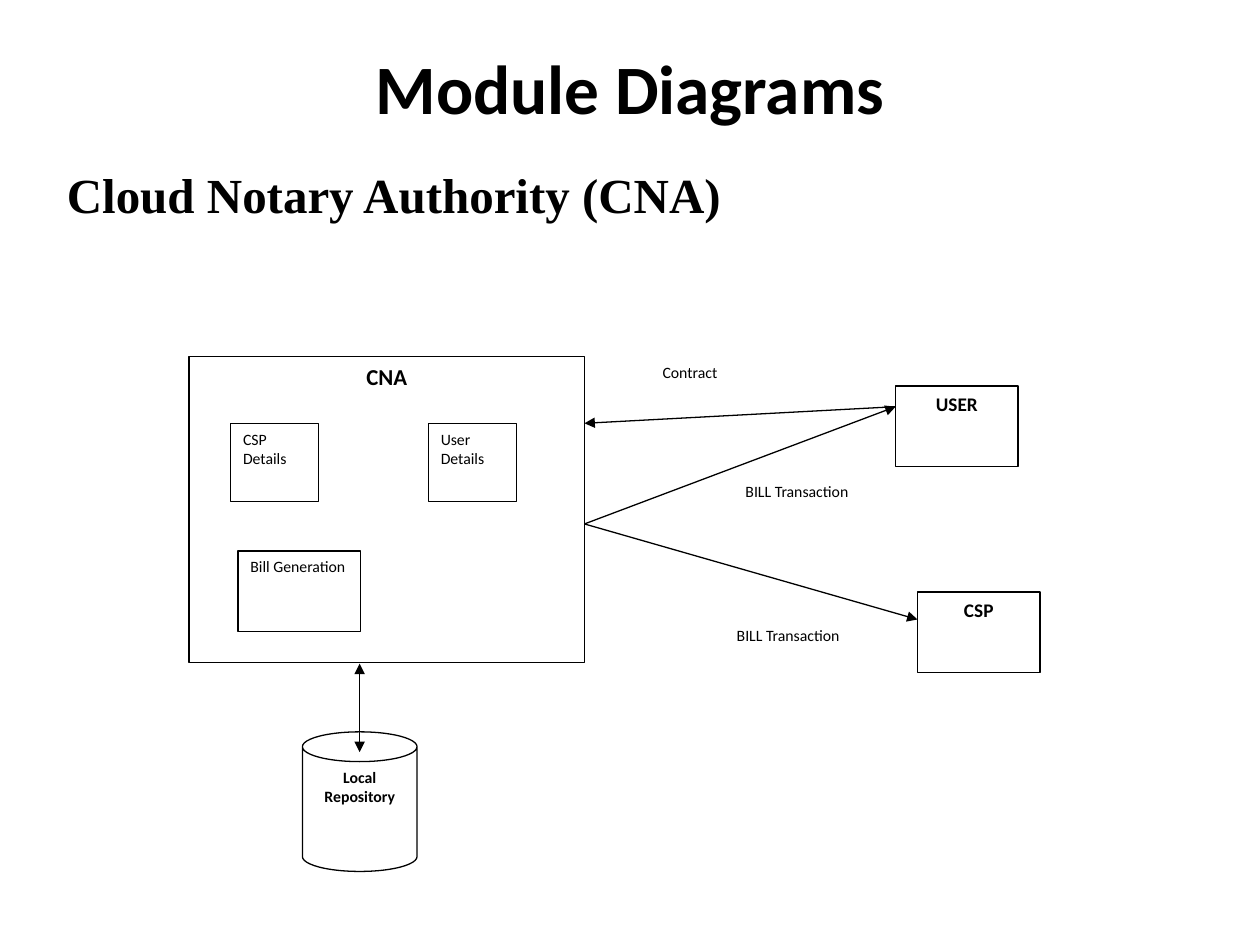
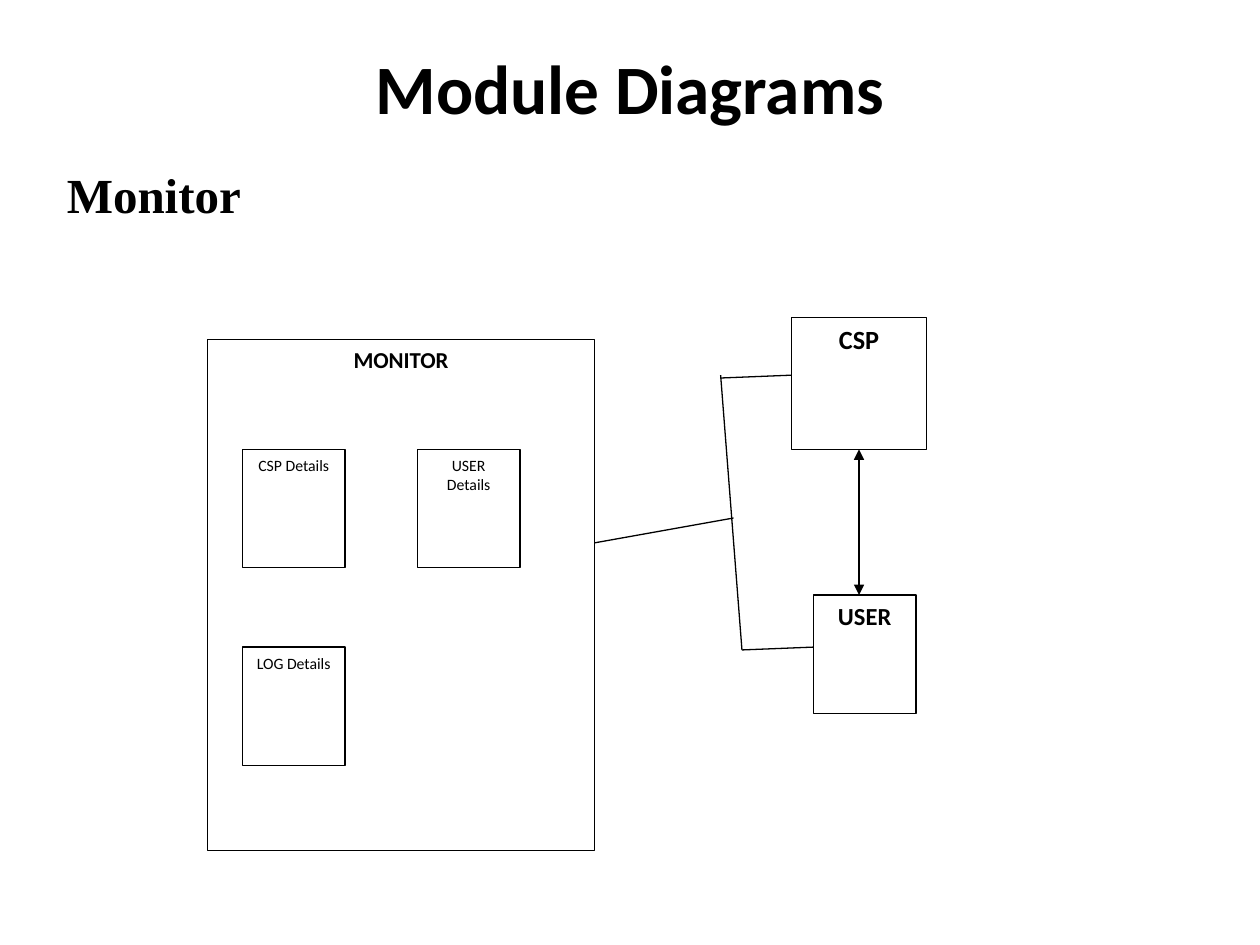
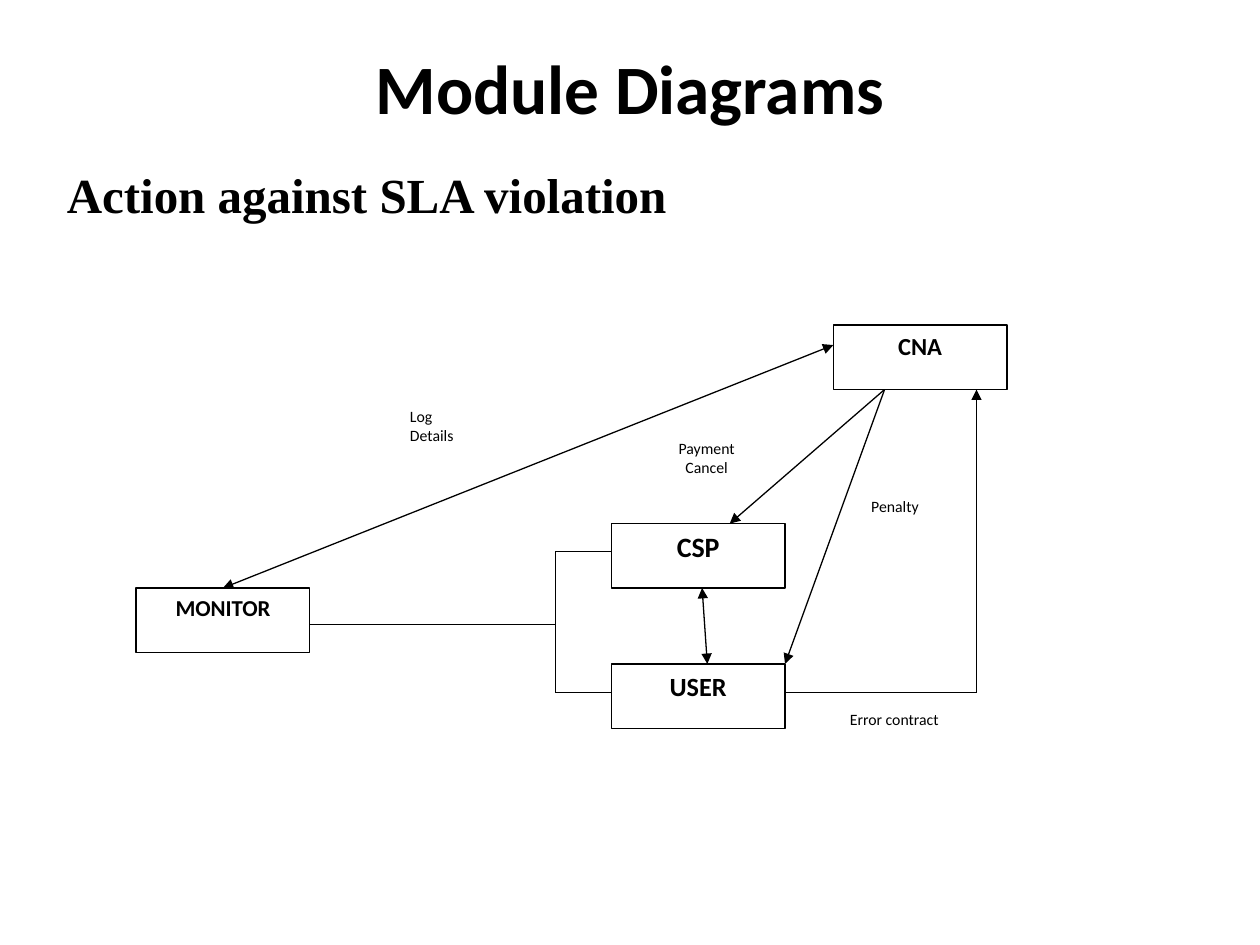
from lxml import etree
from pptx import Presentation
from pptx import util as u
from pptx.dml.color import RGBColor
from pptx.enum import shapes, text
from pptx.oxml import ns

BLACK = RGBColor(0, 0, 0)
WHITE = RGBColor(255, 255, 255)
BODY_FONT = "Calibri"
HEADING_FONT = "Times New Roman"
LEFT = text.PP_ALIGN.LEFT
CENTER = text.PP_ALIGN.CENTER
TOP = text.MSO_ANCHOR.TOP
MIDDLE = text.MSO_ANCHOR.MIDDLE
BOTTOM_SIDE = 2
TOP_SIDE = 0


def write(frame, words, size=9, bold=False, font=BODY_FONT, align=CENTER,
          anchor=TOP, after=10, margins=(7.2, 3.6, 7.2, 3.6)):
    frame.word_wrap = True
    frame.auto_size = text.MSO_AUTO_SIZE.NONE
    frame.vertical_anchor = anchor
    (frame.margin_left, frame.margin_top,
     frame.margin_right, frame.margin_bottom) = map(u.Pt, margins)
    para = frame.paragraphs[0]
    para.alignment = align
    para.space_after = u.Pt(after)
    span = para.add_run()
    span.text = words
    span.font.name = font
    span.font.size = u.Pt(size)
    span.font.bold = bold
    span.font.color.rgb = BLACK


class Diagram:
    line_width = u.Pt(0.75)

    def __init__(self, deck, heading):
        layout = deck.slide_layouts.get_by_name("Title Only")
        self.page = deck.slides.add_slide(layout)
        self.title("Module Diagrams")
        self.box(heading, 23.8, 95.8, 630, 29.5, line=None, size=28, bold=True,
                 font=HEADING_FONT, align=LEFT, anchor=MIDDLE, after=0,
                 margins=(14.4, 0, 0, 0))

    def title(self, words):
        title = self.page.shapes.title
        title.left, title.top = u.Pt(36), u.Pt(21.6)
        title.width, title.height = u.Pt(648), u.Pt(56.2)
        write(title.text_frame, words, size=39.6, bold=True, anchor=MIDDLE, after=0)

    def box(self, words, left, top, width, height, line=BLACK,
            kind=shapes.MSO_SHAPE.RECTANGLE, **style):
        box = self.page.shapes.add_shape(
            kind, u.Pt(left), u.Pt(top), u.Pt(width), u.Pt(height))
        box.shadow.inherit = False
        box.fill.solid()
        box.fill.fore_color.rgb = WHITE
        if line is None:
            box.line.fill.background()
        else:
            box.line.color.rgb = line
            box.line.width = self.line_width
        write(box.text_frame, words, **style)
        return box

    def label(self, words, left, top, width, height, **style):
        return self.box(words, left, top, width, height, line=WHITE, **style)

    def line(self, start, end, head=False, tail=False):
        line = self.page.shapes.add_connector(
            shapes.MSO_CONNECTOR.STRAIGHT, *map(u.Pt, start + end))
        line.line.color.rgb = BLACK
        line.line.width = self.line_width
        stroke = line.line._get_or_add_ln()
        for name, wanted in (("a:headEnd", head), ("a:tailEnd", tail)):
            if wanted:
                etree.SubElement(stroke, ns.qn(name), type="triangle")
        etree.SubElement(line._element.spPr, ns.qn("a:effectLst"))
        return line


def build_notary(deck):
    diagram = Diagram(deck, "Cloud Notary Authority (CNA)")
    diagram.box("CNA", 108, 203.8, 226, 175, size=13, bold=True)
    for words, left in (("CSP Details", 131.8), ("User Details", 244.8)):
        diagram.box(words, left, 242, 50.4, 44.6, align=LEFT)
    diagram.box("Bill Generation", 136, 314.8, 70, 46, align=LEFT)
    for words, left, top in (("USER", 511.8, 220.5), ("CSP", 524.3, 338.3)):
        diagram.box(words, left, top, 70, 46, size=11, bold=True)
    can = diagram.box("Local Repository", 172.8, 418.2, 65.5, 79.8,
                      kind=shapes.MSO_SHAPE.CAN, bold=True)
    can.adjustments[0] = 0.26

    user_end, bill_start = (511.8, 232.4), (334, 299.4)
    diagram.line(user_end, (334, 241.9), tail=True)
    diagram.label("Contract", 371.5, 203.8, 65.5, 28, align=LEFT)
    for end in (user_end, (524.3, 354)):
        diagram.line(bill_start, end, tail=True)
    for left, top in ((418.1, 272), (413.1, 354)):
        diagram.label("BILL Transaction", left, top, 74.5, 42.5)
    diagram.line((205.5, 379.2), (205.5, 429.8), head=True, tail=True)


def build_monitor(deck):
    diagram = Diagram(deck, "Monitor")
    diagram.box("MONITOR", 118.5, 194, 221.3, 292, size=13, bold=True)
    columns, rows = (138.5, 238.5), (256.8, 369.8)
    for words, column, row in (("CSP Details", 0, 0), ("USER Details", 1, 0),
                               ("LOG Details", 0, 1)):
        diagram.box(words, columns[column], rows[row], 58.6, 67.7)
    csp = diagram.box("CSP", 452.3, 181.4, 77.2, 75.4, size=15, bold=True)
    diagram.box("USER", 464.8, 340, 58.6, 67.7, size=14, bold=True)

    exchange = diagram.line((490.9, 256.8), (490.9, 340), head=True, tail=True)
    exchange.begin_connect(csp, BOTTOM_SIDE)
    for start, end in (((452.3, 214.4), (411.8, 216)),
                       ((464.6, 369.8), (424, 371.4)),
                       ((411.8, 214.4), (424, 371.4)),
                       ((339.8, 310.2), (419.2, 296))):
        diagram.line(start, end)


def build_violation(deck):
    diagram = Diagram(deck, "Action against SLA violation")
    boxes = {}
    for words, left, top, size in (("USER", 349.4, 379.4, 15), ("CSP", 349.4, 299.2, 16),
                                   ("CNA", 476.2, 185.8, 14), ("MONITOR", 77.8, 336, 13)):
        boxes[words] = diagram.box(words, left, top, 99.2, 36.8, size=size, bold=True)

    bus, csp_row, user_row, monitor_row = 317.4, 315.2, 395.8, 357
    for start, end in (((349.4, csp_row), (bus, csp_row)),
                       ((bus, csp_row), (bus, user_row)),
                       ((349.4, user_row), (bus, user_row)),
                       ((bus, monitor_row), (177, monitor_row))):
        diagram.line(start, end)
    diagram.line((401.2, 336), (404.2, 379.4), head=True, tail=True)
    log = diagram.line((476.2, 197.2), (127.4, 336), head=True, tail=True)
    log.end_connect(boxes["MONITOR"], TOP_SIDE)
    diagram.label("Log Details", 227.2, 228.7, 49, 32.4, align=LEFT)

    corner = (558, user_row)
    diagram.line((448.6, user_row), corner)
    diagram.line(corner, (558, 222.6), tail=True)
    diagram.label("Error contract", 476, 402, 70, 31.7)
    for end in ((417, 299.2), (448.6, 379.4)):
        diagram.line((505.5, 222.6), end, tail=True)
    diagram.label("Penalty", 488, 280.5, 46.8, 18.7)
    diagram.label("Payment Cancel", 368.8, 247, 70, 31.7)


def main():
    deck = Presentation()
    deck.slide_width, deck.slide_height = u.Pt(720), u.Pt(540)
    for build in (build_notary, build_monitor, build_violation):
        build(deck)
    deck.save("out.pptx")


if __name__ == "__main__":
    main()
